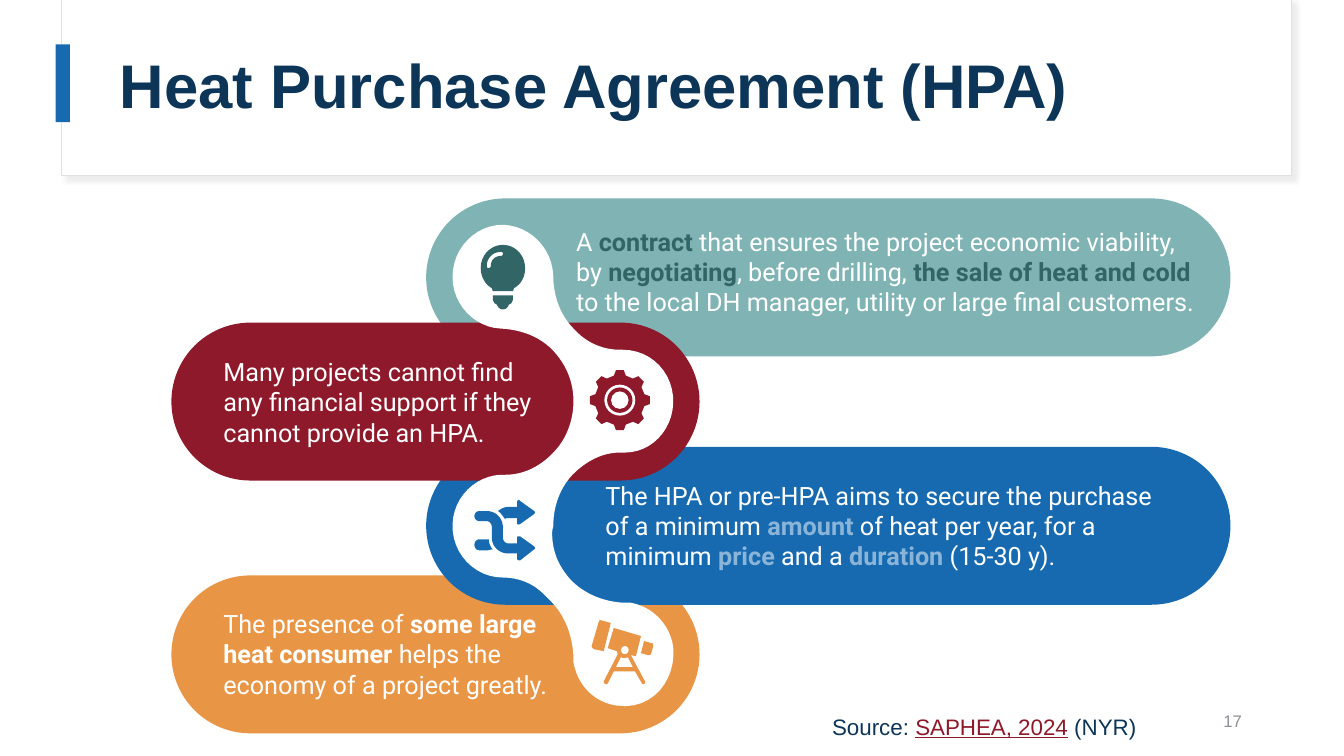
from math import cos, pi, sin

from lxml import etree
from pptx import Presentation
from pptx.dml.color import RGBColor
from pptx.enum.shapes import MSO_SHAPE
from pptx.enum.text import MSO_ANCHOR, PP_ALIGN
from pptx.oxml import parse_xml
from pptx.util import Cm, Pt

RECTANGLE, ROUNDED, OVAL = MSO_SHAPE.RECTANGLE, MSO_SHAPE.ROUNDED_RECTANGLE, MSO_SHAPE.OVAL
MIDDLE, LEFT, RIGHT = MSO_ANCHOR.MIDDLE, PP_ALIGN.LEFT, PP_ALIGN.RIGHT

WHITE = RGBColor(0xFF, 0xFF, 0xFF)
NAVY = RGBColor(0x0C, 0x35, 0x58)
BLUE = RGBColor(0x17, 0x6A, 0xB0)
PALE_BLUE = RGBColor(0x8B, 0xB5, 0xD8)
TEAL = RGBColor(0x80, 0xB3, 0xB3)
DARK_TEAL = RGBColor(0x32, 0x65, 0x65)
RED = RGBColor(0x8D, 0x19, 0x2B)
ORANGE = RGBColor(0xE8, 0x95, 0x46)
GREY = RGBColor(0x8C, 0x90, 0x9A)
FRAME_GREY = RGBColor(0xE1, 0xE1, 0xE1)

INCH = 2.54
CURVE_STEPS = 12

prs = Presentation()
prs.slide_width, prs.slide_height = Cm(33.87), Cm(19.05)
slide = prs.slides.add_slide(prs.slide_layouts[6])
shapes = slide.shapes


def trace(outline, colour):
    builder, here = None, None
    for command in outline.replace("M", "|M").replace("L", "|L").replace("C", "|C").split("|")[1:]:
        numbers = [float(n) * INCH for n in command[1:].split()]
        points = list(zip(numbers[::2], numbers[1::2]))
        if command[0] == "M":
            start = [Cm(n) for n in points[0]]
            if builder is None:
                builder = shapes.build_freeform(*start, scale=1.0)
            else:
                builder.move_to(*start)
        elif command[0] == "L":
            builder.add_line_segments([(Cm(x), Cm(y)) for x, y in points], close=False)
        else:
            for i in range(0, len(points), 3):
                anchors = [here, *points[i:i + 3]]
                for step in range(1, CURVE_STEPS + 1):
                    t = step / CURVE_STEPS
                    weights = ((1 - t) ** 3, 3 * t * (1 - t) ** 2, 3 * t * t * (1 - t), t ** 3)
                    x, y = (sum(w * p[axis] for w, p in zip(weights, anchors)) for axis in (0, 1))
                    builder.add_line_segments([(Cm(x), Cm(y))], close=False)
                here = points[i + 2]
        here = points[-1]
    drawn = builder.convert_to_shape()
    drawn.shadow.inherit = False
    drawn.fill.solid()
    drawn.fill.fore_color.rgb = colour
    drawn.line.fill.background()


def write(x, y, w, h, size, family, runs, align=LEFT, wrap=True):
    frame = shapes.add_textbox(Cm(x), Cm(y), Cm(w), Cm(h)).text_frame
    frame.word_wrap = wrap
    frame.vertical_anchor = MIDDLE
    paragraph = frame.paragraphs[0]
    paragraph.alignment = align
    paragraph.font.size = Pt(size)
    paragraph.font.name = family
    for text, colour, bold in runs:
        run = paragraph.add_run()
        run.text = text
        run.font.color.rgb = colour
        run.font.bold = bold
    return paragraph


header = shapes.add_shape(RECTANGLE, Cm(1.55), Cm(0), Cm(31.01), Cm(4.42))
header.shadow.inherit = False
header.fill.solid()
header.fill.fore_color.rgb = WHITE
header.line.color.rgb = FRAME_GREY
header.line.width = Pt(0.75)
effects = header.fill._xPr.find("{http://schemas.openxmlformats.org/drawingml/2006/main}effectLst")
effects.append(parse_xml(
    '<a:outerShdw xmlns:a="http://schemas.openxmlformats.org/drawingml/2006/main" '
    'blurRad="50800" dist="38100" dir="2700000" algn="tl" rotWithShape="0">'
    '<a:srgbClr val="D9D9D9"><a:alpha val="50000"/></a:srgbClr></a:outerShdw>'))

for preset, x, y, w, h, colour in (
    (RECTANGLE, 1.4, 1.12, 0.36, 1.96, BLUE),
    (ROUNDED, 4.32, 14.5, 13.31, 3.98, ORANGE),
    (ROUNDED, 10.74, 11.26, 20.27, 3.98, BLUE),
    (ROUNDED, 10.74, 5, 20.27, 3.98, TEAL),
    (ROUNDED, 4.32, 8.13, 13.31, 3.98, RED),
):
    bar = shapes.add_shape(preset, Cm(x), Cm(y), Cm(w), Cm(h))
    bar.shadow.inherit = False
    bar.fill.solid()
    bar.fill.fore_color.rgb = colour
    bar.line.fill.background()
    if preset == ROUNDED:
        bar.adjustments[0] = 0.5

RIBBON = """M 4.99 2.23 C 4.72 2.23 4.49 2.46 4.49 2.75 4.49 3.02 4.71 3.25 4.97 3.26
    C 5.17 3.27 5.36 3.34 5.49 3.48 5.62 3.62 5.69 3.79 5.69 3.98 5.69 4.17 5.62 4.36 5.49 4.49
    C 5.36 4.63 5.19 4.71 5.02 4.71 L 4.97 4.71 C 4.72 4.72 4.5 4.93 4.49 5.2 4.48 5.49 4.71 5.73 4.99 5.73
    C 5.15 5.73 5.3 5.79 5.41 5.91 L 5.47 5.97 C 5.61 6.11 5.68 6.31 5.69 6.51 L 5.69 6.57
    C 5.73 6.8 5.9 6.97 6.12 7 6.48 7.05 6.71 6.74 6.68 6.42 6.65 6.2 6.48 6.02 6.26 5.98 L 6.19 5.98
    C 6 5.97 5.81 5.9 5.67 5.76 5.53 5.61 5.47 5.44 5.48 5.26 L 5.49 5.22
    C 5.49 5.03 5.55 4.85 5.68 4.71 5.82 4.57 5.98 4.49 6.15 4.49 L 6.2 4.49
    C 6.46 4.49 6.67 4.27 6.68 4 6.69 3.71 6.47 3.47 6.18 3.47 L 6.15 3.47
    C 5.98 3.47 5.82 3.4 5.7 3.27 5.56 3.13 5.49 2.94 5.49 2.74 5.48 2.46 5.26 2.24 4.99 2.23"""
BULB = """M 4.97 2.5 C 4.98 2.5 4.99 2.5 4.99 2.52 4.99 2.53 4.98 2.54 4.97 2.54
    C 4.91 2.54 4.87 2.58 4.87 2.64 4.87 2.65 4.86 2.66 4.85 2.66 4.83 2.66 4.83 2.65 4.83 2.64
    C 4.83 2.56 4.89 2.5 4.97 2.5 M 4.99 2.43 C 4.87 2.43 4.77 2.53 4.77 2.66 4.77 2.74 4.81 2.82 4.88 2.86
    L 4.89 2.89 5.09 2.89 5.1 2.86 C 5.17 2.82 5.21 2.75 5.21 2.66 5.21 2.53 5.11 2.43 4.99 2.43"""
BULB_BASE = """M 4.89 2.93 L 4.89 2.96 C 4.89 2.99 4.91 3.02 4.93 3.02 4.94 3.05 4.96 3.07 4.99 3.07
    C 5.02 3.07 5.04 3.05 5.05 3.02 5.07 3.02 5.09 2.99 5.09 2.96 L 5.09 2.93 4.89 2.93"""
FALLING_ARROW = """M 4.76 5.07 C 4.69 5.07 4.69 5.17 4.76 5.17 L 4.83 5.17 C 4.86 5.17 4.88 5.2 4.88 5.23
    L 4.88 5.33 C 4.88 5.42 4.95 5.49 5.04 5.49 L 5.13 5.49 5.13 5.54 C 5.13 5.55 5.14 5.56 5.16 5.56
    L 5.3 5.45 C 5.31 5.45 5.31 5.43 5.3 5.42 L 5.16 5.32 C 5.15 5.32 5.13 5.32 5.13 5.33
    L 5.13 5.39 5.04 5.39 C 5.01 5.39 4.99 5.36 4.99 5.33 L 4.99 5.23
    C 4.99 5.14 4.92 5.07 4.83 5.07 L 4.76 5.07"""
ARROW_TAIL = """M 4.85 5.35 L 4.76 5.35 C 4.69 5.35 4.69 5.46 4.76 5.46 L 4.83 5.46
    C 4.85 5.46 4.87 5.45 4.89 5.45 4.86 5.42 4.85 5.38 4.85 5.35"""
RISING_ARROW = """M 5.15 4.96 C 5.14 4.96 5.13 4.97 5.13 4.98 L 5.13 5.03 5.04 5.03
    C 5 5.03 4.97 5.05 4.94 5.07 4.97 5.09 4.99 5.12 5.01 5.15 5.02 5.14 5.03 5.14 5.04 5.14
    L 5.13 5.14 5.13 5.19 C 5.13 5.2 5.14 5.21 5.16 5.2 L 5.3 5.1 C 5.31 5.09 5.31 5.08 5.3 5.07
    L 5.16 4.97 5.15 4.96"""
TELESCOPE_TUBE = "M 5.95 6.15 L 5.94 6.17 5.87 6.41 C 5.87 6.42 5.88 6.43 5.89 6.44 L 5.99 6.46 6.06 6.18 5.95 6.15"
TELESCOPE_STAND = """M 6.2 6.41 C 6.25 6.41 6.25 6.49 6.2 6.49 6.15 6.49 6.15 6.41 6.2 6.41
    M 6.23 6.52 L 6.28 6.62 6.11 6.62 6.16 6.52 C 6.18 6.53 6.21 6.53 6.23 6.52
    M 6.09 6.23 L 6.03 6.43 6.12 6.46 6.13 6.49 5.99 6.76 C 5.99 6.78 6.01 6.8 6.03 6.78
    L 6.09 6.66 6.3 6.66 6.37 6.78 C 6.38 6.8 6.41 6.78 6.4 6.76 L 6.26 6.5 6.31 6.51 6.36 6.31 6.09 6.23"""
TELESCOPE_EYEPIECE = "M 6.39 6.36 L 6.36 6.48 6.43 6.5 C 6.45 6.5 6.46 6.49 6.46 6.49 L 6.48 6.41 C 6.48 6.39 6.48 6.38 6.46 6.38 L 6.39 6.36"

gear_x, gear_y = 6.15, 3.97
teeth = [(tooth * pi / 4 + offset, radius) for tooth in range(8)
         for offset, radius in ((-0.24, 0.25), (-0.13, 0.3), (0.13, 0.3), (0.24, 0.25))]
corners = [f"{gear_x + r * cos(a):.3f} {gear_y + r * sin(a):.3f}" for a, r in teeth]
GEAR = "M " + " L ".join(corners + corners[:1])

for outline, colour in (
    (RIBBON, WHITE), (BULB, DARK_TEAL), (BULB_BASE, DARK_TEAL), (GEAR, RED),
    (FALLING_ARROW, BLUE), (ARROW_TAIL, BLUE), (RISING_ARROW, BLUE),
    (TELESCOPE_TUBE, ORANGE), (TELESCOPE_STAND, ORANGE), (TELESCOPE_EYEPIECE, ORANGE),
):
    trace(outline, colour)

for radius, colour in ((0.39, WHITE), (0.32, RED), (0.22, WHITE)):
    hub = shapes.add_shape(OVAL, Cm(gear_x * INCH - radius), Cm(gear_y * INCH - radius),
                           Cm(2 * radius), Cm(2 * radius))
    hub.shadow.inherit = False
    hub.fill.solid()
    hub.fill.fore_color.rgb = colour
    hub.line.fill.background()

title = write(2.77, 0.58, 28.24, 3.28, 44, "Arial", [("Heat Purchase Agreement (HPA)", NAVY, True)])
title.line_spacing = 0.9

for x, y, w, runs in (
    (14.27, 5.56, 16.36, [
        ("A ", WHITE, False), ("contract", DARK_TEAL, True),
        (" that ensures the project economic viability, by ", WHITE, False),
        ("negotiating", DARK_TEAL, True), (", before drilling, ", WHITE, False),
        ("the sale of heat and cold ", DARK_TEAL, True),
        ("to the local DH manager, utility or large final customers.", WHITE, False)]),
    (5.38, 8.84, 8.43, [
        ("Many projects cannot find any financial support if they cannot provide an HPA.", WHITE, False)]),
    (15.01, 11.96, 14.48, [
        ("The HPA or pre-HPA aims to secure the purchase of a minimum ", WHITE, False),
        ("amount", PALE_BLUE, True), (" of heat per year, for a minimum ", WHITE, False),
        ("price", PALE_BLUE, True), (" and a ", WHITE, False),
        ("duration", PALE_BLUE, True), (" (15-30 y).", WHITE, False)]),
    (5.38, 15.19, 8.86, [
        ("The presence of ", WHITE, False), ("some large heat consumer", WHITE, True),
        (" helps the economy of a project greatly.", WHITE, False)]),
):
    write(x, y, w, 2.57, 18, "Roboto", runs)

write(23.93, 17.65, 7.62, 1.02, 12, "Arial", [("17", GREY, False)], align=RIGHT)
source = write(20.72, 17.83, 8.26, 0.94, 16, "Arial", [
    ("Source: ", NAVY, False), ("SAPHEA, 2024", RED, False), (" (NYR)", NAVY, False)], wrap=False)
source.runs[1].font.underline = True

prs.save("out.pptx")
